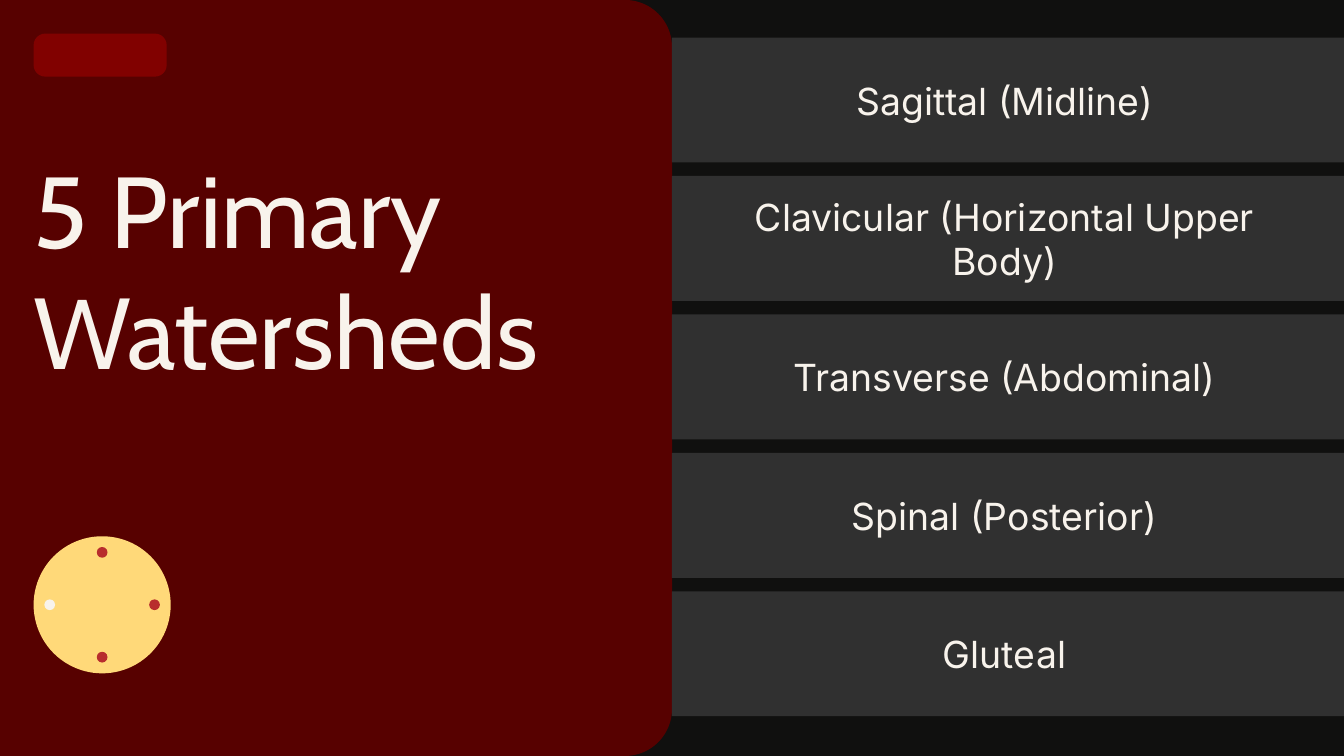
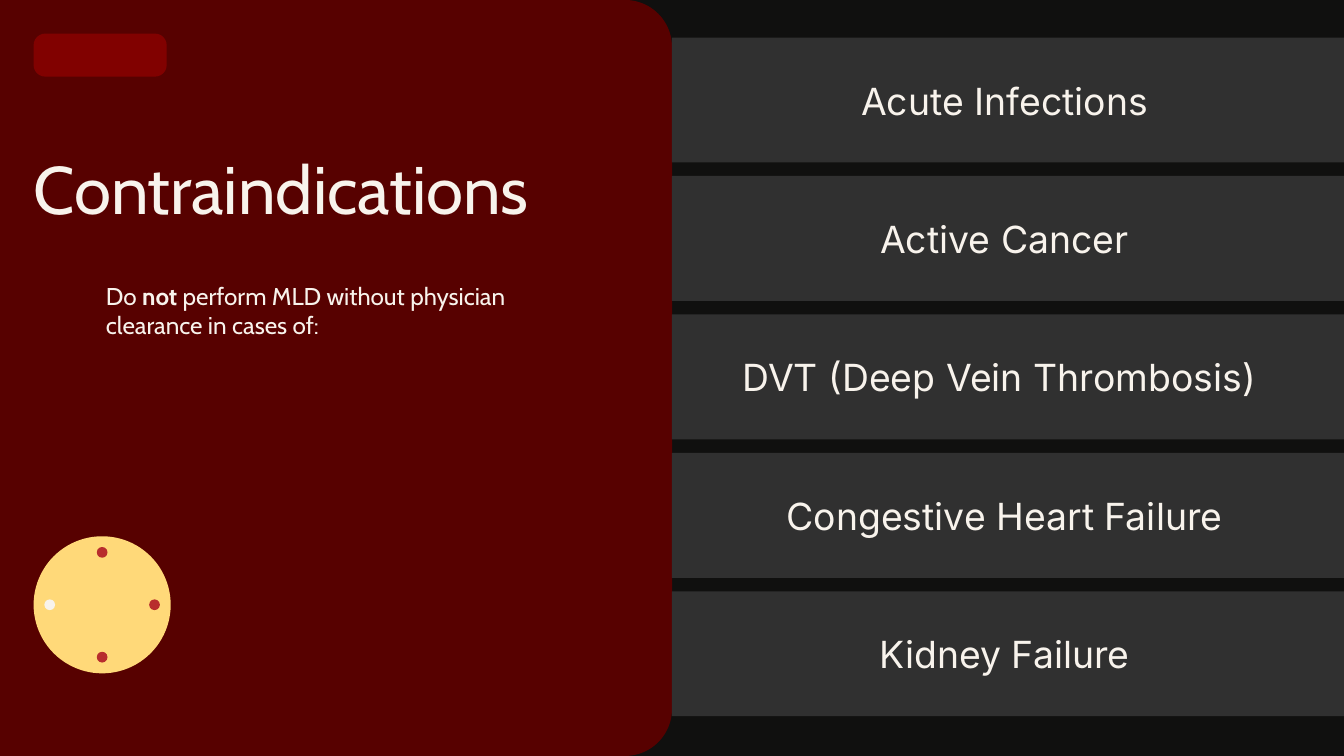
import pptx
import pptx.dml.color
import pptx.enum.shapes
import pptx.enum.text
import pptx.util
from pptx.dml.color import RGBColor
from pptx.enum.shapes import MSO_SHAPE
from pptx.enum.text import MSO_ANCHOR, PP_ALIGN
from pptx.util import Inches

BLACK = RGBColor(0x10, 0x10, 0x0F)
MAROON = RGBColor(0x57, 0x01, 0x00)
RED = RGBColor(0x81, 0x01, 0x00)
GREY = RGBColor(0x30, 0x30, 0x30)
CREAM = RGBColor(0xF8, 0xF3, 0xEC)
YELLOW = RGBColor(0xFF, 0xD9, 0x79)
DOT_RED = RGBColor(0xB8, 0x2D, 0x2D)

TITLE_FONT = "Cabin"
BAND_FONT = "Inter"

SLIDE_WIDTH = Inches(10)
SLIDE_HEIGHT = SLIDE_WIDTH * 9 // 16
PANEL_WIDTH = Inches(5)
MARGIN = Inches(0.25)

BAND_HEIGHT = Inches(0.93)
BAND_TOP = Inches(0.28)
BAND_PITCH = Inches(1.03)
LABEL_HEIGHT = Inches(0.48)

DIAL_SIZE = Inches(1.02)
DIAL_TOP = Inches(3.99)
DOT_SIZE = Inches(0.08)
DOT_ORBIT = Inches(0.39)


def add_filled_shape(shapes, kind, left, top, width, height, color):
    shape = shapes.add_shape(kind, left, top, width, height)
    shape.shadow.inherit = False
    shape.fill.solid()
    shape.fill.fore_color.rgb = color
    shape.line.fill.background()
    return shape


def add_text(slide, left, top, width, height, parts, font_name, size, inset=0,
             align=PP_ALIGN.LEFT, anchor=MSO_ANCHOR.TOP):
    """Add one paragraph made of (text, bold) parts."""
    frame = slide.shapes.add_textbox(left, top, width, height).text_frame
    frame.word_wrap = True
    frame.vertical_anchor = anchor
    frame.margin_left = frame.margin_right = inset
    frame.margin_top = frame.margin_bottom = inset
    paragraph = frame.paragraphs[0]
    paragraph.alignment = align
    for text, bold in parts:
        run = paragraph.add_run()
        run.text = text
        run.font.name = font_name
        run.font.size = pptx.util.Pt(size)
        run.font.bold = bold
        run.font.color.rgb = CREAM


def add_panel(slide):
    """Add the left panel, rounded on its right side by a quarter turn."""
    offset = (PANEL_WIDTH - SLIDE_HEIGHT) // 2
    panel = add_filled_shape(slide.shapes, MSO_SHAPE.ROUND_2_SAME_RECTANGLE,
                             offset, -offset, SLIDE_HEIGHT, PANEL_WIDTH, MAROON)
    panel.rotation = 90
    panel.adjustments[0] = 0.07
    panel.adjustments[1] = 0


def add_tag(slide):
    tag = add_filled_shape(slide.shapes, MSO_SHAPE.ROUNDED_RECTANGLE,
                           MARGIN, MARGIN, Inches(0.99), Inches(0.32), RED)
    tag.adjustments[0] = 0.27


def add_bands(slide, labels):
    tops = [BAND_TOP + index * BAND_PITCH for index in range(len(labels))]
    for top in tops:
        add_filled_shape(slide.shapes, MSO_SHAPE.RECTANGLE, PANEL_WIDTH, top,
                         SLIDE_WIDTH - PANEL_WIDTH, BAND_HEIGHT, GREY)
    for top, label in zip(tops, labels):
        add_text(slide, Inches(5.26), top + (BAND_HEIGHT - LABEL_HEIGHT) // 2,
                 Inches(4.43), LABEL_HEIGHT, [(label, False)], BAND_FONT, 20,
                 align=PP_ALIGN.CENTER, anchor=MSO_ANCHOR.MIDDLE)


def add_title(slide, title, size, height):
    add_text(slide, MARGIN, Inches(1.1), Inches(4.28), height,
             [(title, False)], TITLE_FONT, size)


def add_dial(slide):
    """Add the yellow disc with a dot at each quarter."""
    shapes = slide.shapes.add_group_shape().shapes
    add_filled_shape(shapes, MSO_SHAPE.OVAL, MARGIN, DIAL_TOP,
                     DIAL_SIZE, DIAL_SIZE, YELLOW)
    inset = (DIAL_SIZE - DOT_SIZE) // 2
    dots = [(0, -1, DOT_RED), (0, 1, DOT_RED), (1, 0, DOT_RED), (-1, 0, CREAM)]
    for across, down, color in dots:
        add_filled_shape(shapes, MSO_SHAPE.OVAL,
                         MARGIN + inset + across * DOT_ORBIT,
                         DIAL_TOP + inset + down * DOT_ORBIT,
                         DOT_SIZE, DOT_SIZE, color)


def add_list_slide(presentation, title, title_size, title_height, labels):
    slide = presentation.slides.add_slide(presentation.slide_layouts[6])
    slide.background.fill.solid()
    slide.background.fill.fore_color.rgb = BLACK
    add_panel(slide)
    add_tag(slide)
    add_bands(slide, labels)
    add_title(slide, title, title_size, title_height)
    add_dial(slide)
    return slide


def main():
    presentation = pptx.Presentation()
    presentation.slide_width = SLIDE_WIDTH
    presentation.slide_height = SLIDE_HEIGHT

    add_list_slide(presentation, "5 Primary Watersheds", 54, Inches(2.72), [
        "Sagittal (Midline)",
        "Clavicular (Horizontal Upper Body)",
        "Transverse (Abdominal)",
        "Spinal (Posterior)",
        "Gluteal",
    ])

    contraindications = add_list_slide(
        presentation, "Contraindications", 36, Inches(0.83), [
            "Acute Infections",
            "Active Cancer",
            "DVT (Deep Vein Thrombosis) ",
            "Congestive Heart Failure",
            "Kidney Failure",
        ])
    warning = [("Do ", False), ("not", True),
               (" perform MLD without physician clearance in cases of:", False)]
    add_text(contraindications, Inches(0.69), Inches(1.99), Inches(3.28),
             Inches(0.64), warning, TITLE_FONT, 13, inset=Inches(0.1))

    presentation.save("out.pptx")


if __name__ == "__main__":
    main()
